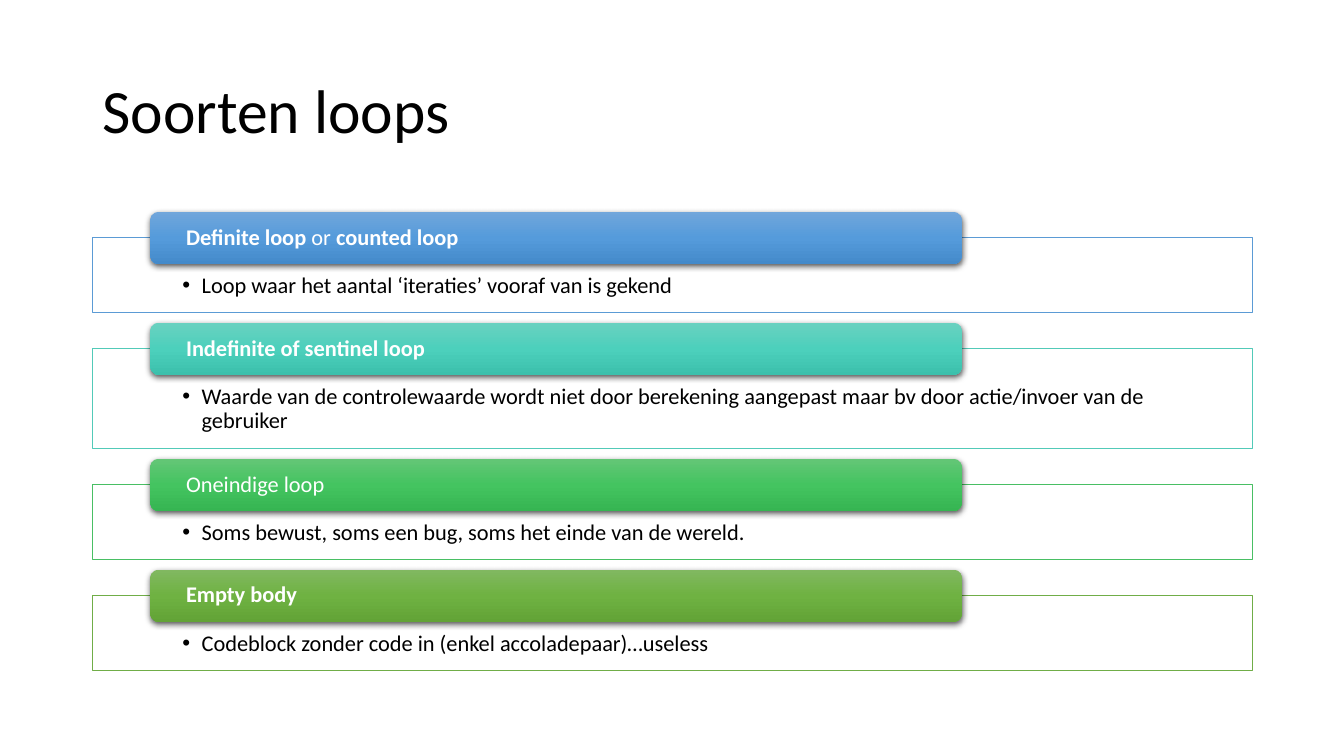
from copy import deepcopy

from lxml import etree
from pptx import Presentation
from pptx.dml.color import RGBColor
from pptx.enum import shapes, text
from pptx.oxml import ns
from pptx.util import Inches, Pt

BLACK = RGBColor(0x00, 0x00, 0x00)
WHITE = RGBColor(0xFF, 0xFF, 0xFF)
BLUE = RGBColor(0x5B, 0x9B, 0xD5)
TEAL = RGBColor(0x52, 0xCA, 0xB8)
GREEN = RGBColor(0x49, 0xBF, 0x64)
OLIVE = RGBColor(0x70, 0xAD, 0x47)
BLUE_SHADES = [RGBColor(0x71, 0xA6, 0xDB), RGBColor(0x55, 0x9B, 0xDB), RGBColor(0x44, 0x8A, 0xCA)]
TEAL_SHADES = [RGBColor(0x6A, 0xD1, 0xC0), RGBColor(0x4C, 0xD0, 0xBC), RGBColor(0x3C, 0xC0, 0xAC)]
GREEN_SHADES = [RGBColor(0x64, 0xC6, 0x77), RGBColor(0x44, 0xC4, 0x60), RGBColor(0x36, 0xB5, 0x52)]
OLIVE_SHADES = [RGBColor(0x81, 0xB8, 0x61), RGBColor(0x6F, 0xB2, 0x42), RGBColor(0x62, 0xA3, 0x36)]

LEFT, WIDTH = 0.92, 11.5
GAP = 0.36
HEADER_RISE = 0.26

LOOPS = [
    ([("Definite loop", True), (" or ", False), ("counted loop", True)],
     "Loop waar het aantal ‘iteraties’ vooraf van is gekend",
     0.74, BLUE, BLUE_SHADES),
    ([("Indefinite of sentinel loop", True)],
     "Waarde van de controlewaarde wordt niet door berekening aangepast "
     "maar bv door actie/invoer van de gebruiker",
     0.99, TEAL, TEAL_SHADES),
    ([("Oneindige loop", False)],
     "Soms bewust, soms een bug, soms het einde van de wereld.",
     0.74, GREEN, GREEN_SHADES),
    ([("Empty body", True)],
     "Codeblock zonder code in (enkel accoladepaar)…useless",
     0.74, OLIVE, OLIVE_SHADES),
]


def add_xml(parent, tag, **attributes):
    return etree.SubElement(parent, ns.qn(tag), attributes)


def set_text(box, spans, size, color, anchor, insets):
    frame = box.text_frame
    frame.word_wrap = True
    frame.vertical_anchor = anchor
    frame.margin_left, frame.margin_top, frame.margin_right, frame.margin_bottom = map(Inches, insets)
    para = frame.paragraphs[0]
    para.alignment = text.PP_ALIGN.LEFT
    para.line_spacing = 0.9
    for words, bold in spans:
        span = para.add_run()
        span.text = words
        span.font.name = "Calibri"
        span.font.size = Pt(size)
        span.font.bold = bold
        span.font.color.rgb = color
    return para


deck = Presentation()
deck.slide_width, deck.slide_height = Inches(13.33), Inches(7.5)
page = deck.slides.add_slide(deck.slide_layouts[6])

title = page.shapes.add_textbox(Inches(LEFT), Inches(0.4), Inches(WIDTH), Inches(1.45))
set_text(title, [("Soorten loops", False)], 44, BLACK, text.MSO_ANCHOR.MIDDLE, (0.1, 0.05, 0.1, 0.05))

top = 2.36
for heading, description, height, color, shades in LOOPS:
    body = page.shapes.add_shape(
        shapes.MSO_SHAPE.RECTANGLE, Inches(LEFT), Inches(top), Inches(WIDTH), Inches(height))
    body.shadow.inherit = False
    body.fill.solid()
    body.fill.fore_color.rgb = WHITE
    body.line.color.rgb = color
    body.line.width = Pt(0.5)
    para = set_text(body, [(description, False)], 16, BLACK, text.MSO_ANCHOR.TOP, (0.89, 0.36, 0.89, 0.12))
    bullet = para._p.get_or_add_pPr()
    bullet.set("marL", str(Inches(0.19)))
    bullet.set("indent", str(Inches(-0.19)))
    add_xml(bullet, "a:buFont", typeface="Arial")
    add_xml(bullet, "a:buChar", char="•")

    header = page.shapes.add_shape(
        shapes.MSO_SHAPE.ROUNDED_RECTANGLE,
        Inches(1.49), Inches(top - HEADER_RISE), Inches(8.05), Inches(0.52))
    header.line.fill.background()
    header.fill.gradient()
    header.fill.gradient_angle = 270
    stops = header._element.spPr.find(".//" + ns.qn("a:gsLst"))
    stops.insert(1, deepcopy(stops[0]))
    for stop, position, shade in zip(header.fill.gradient_stops, (0, 0.5, 1), shades):
        stop.position = position
        stop.color.rgb = shade
    header.shadow.inherit = False
    effects = header._element.spPr.find(ns.qn("a:effectLst"))
    shadow = add_xml(effects, "a:outerShdw", blurRad=str(Pt(4.5)), dist=str(Pt(1.5)),
                     dir="5400000", algn="ctr", rotWithShape="0")
    shadow_color = add_xml(shadow, "a:srgbClr", val=str(BLACK))
    add_xml(shadow_color, "a:alpha", val="63000")
    set_text(header, heading, 16, WHITE, text.MSO_ANCHOR.MIDDLE, (0.33, 0, 0.33, 0))

    top += height + GAP

deck.save("out.pptx")
